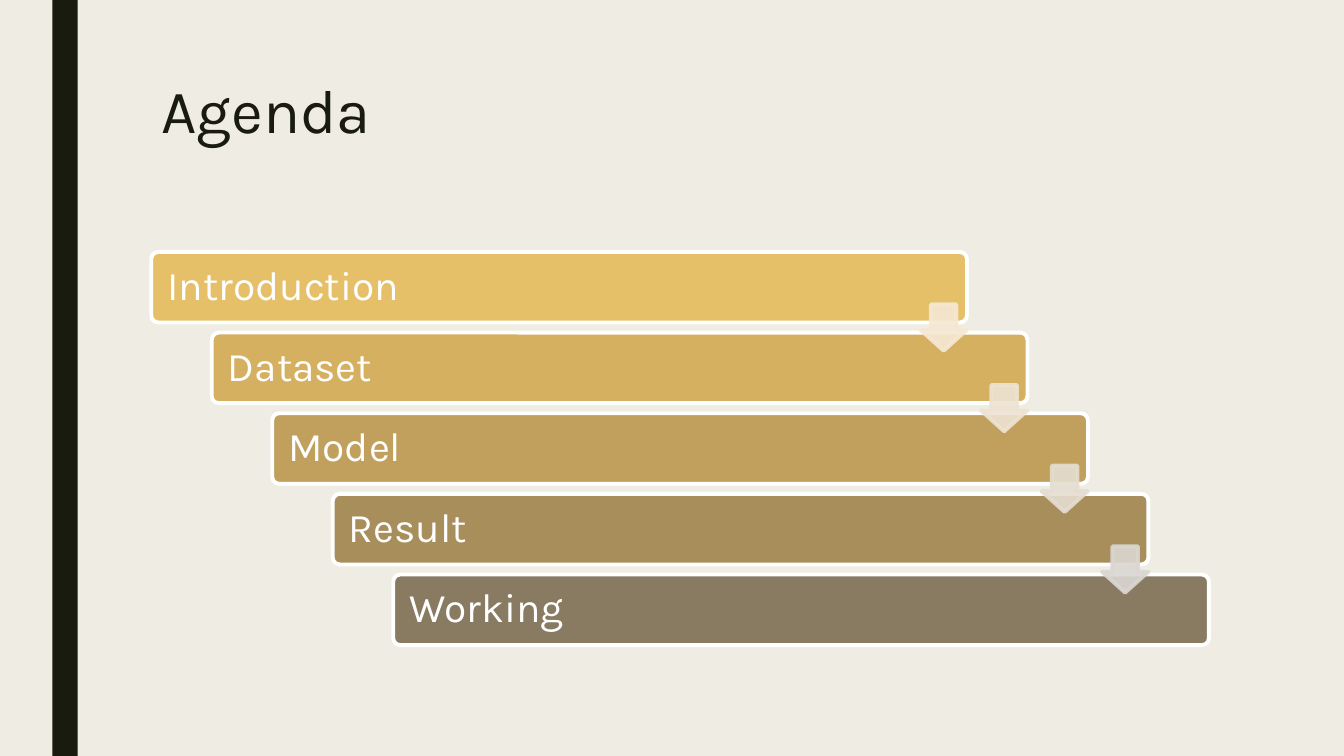
import pptx
import pptx.dml.color
import pptx.enum.shapes
import pptx.enum.text
import pptx.oxml.ns
import pptx.util
from lxml import etree

Inches = pptx.util.Inches
Pt = pptx.util.Pt
SHAPES = pptx.enum.shapes.MSO_SHAPE
ANCHOR = pptx.enum.text.MSO_ANCHOR

FONT = "Karla"
COLORS = {"background": "EFEDE3", "dark": "191B0E", "white": "FFFFFF"}
TOPICS = [
    ("Introduction", "E6C069"),
    ("Dataset", "D5B061"),
    ("Model", "C0A05C"),
    ("Result", "A88E5B"),
    ("Working", "897B61"),
]
ARROW_COLORS = ["F5E8D4", "EEE3D2", "E5DDD1", "DAD7D2"]
STEP_X, STEP_Y = 0.6, 0.8


def rgb(value):
    """Turn a hex string into a colour."""
    return pptx.dml.color.RGBColor.from_string(value)


def add_shape(s, kind, box, fill, line=None):
    """Add a preset shape with a plain fill and an optional outline."""
    sp = s.shapes.add_shape(kind, *[Inches(v) for v in box])
    sp.shadow.inherit = False
    sp.fill.solid()
    sp.fill.fore_color.rgb = rgb(fill)
    if line:
        sp.line.color.rgb = rgb(line)
        sp.line.width = Pt(2.75)
    else:
        sp.line.fill.background()
    return sp


def write_text(tf, text, size, color, spacing, anchor):
    """Write one left-aligned line into a text frame."""
    tf.word_wrap = True
    tf.auto_size = pptx.enum.text.MSO_AUTO_SIZE.NONE
    tf.vertical_anchor = anchor
    p = tf.paragraphs[0]
    p.alignment = pptx.enum.text.PP_ALIGN.LEFT
    p.line_spacing = spacing
    r = p.add_run()
    r.text = text
    r.font.name = FONT
    r.font.size = Pt(size)
    r.font.color.rgb = rgb(color)


def add_title(s, text):
    """Place and fill the title placeholder."""
    sp = s.shapes.title
    sp.left, sp.top = Inches(1.5), Inches(0.75)
    sp.width, sp.height = Inches(10.5), Inches(1.62)
    write_text(sp.text_frame, text, 44, COLORS["dark"], 0.89, ANCHOR.TOP)


def add_topic(s, index, text, fill):
    """Add one bar of the staircase."""
    box = (1.5 + index * STEP_X, 2.5 + index * STEP_Y, 8.09, 0.7)
    sp = add_shape(s, SHAPES.ROUNDED_RECTANGLE, box, fill, COLORS["white"])
    sp.adjustments[0] = 0.1
    tf = sp.text_frame
    tf.margin_left = tf.margin_right = Inches(0.14)
    tf.margin_top = tf.margin_bottom = Inches(0.12)
    write_text(tf, text, 29, COLORS["white"], 0.9, ANCHOR.MIDDLE)


def add_arrow(s, index, color):
    """Add a translucent arrow leading to the next bar."""
    box = (9.13 + index * STEP_X, 3.02 + index * STEP_Y, 0.46, 0.46)
    sp = add_shape(s, SHAPES.DOWN_ARROW, box, color, color)
    sp.adjustments[0] = 0.55
    sp.adjustments[1] = 0.45
    qn = pptx.oxml.ns.qn
    for clr in sp._element.spPr.iter(qn("a:srgbClr")):
        etree.SubElement(clr, qn("a:alpha"), val="90000")


def main():
    """Build the agenda slide."""
    prs = pptx.Presentation()
    prs.slide_width, prs.slide_height = Inches(13.33), Inches(7.5)
    s = prs.slides.add_slide(prs.slide_layouts[5])
    s.background.fill.solid()
    s.background.fill.fore_color.rgb = rgb(COLORS["background"])
    add_shape(s, SHAPES.RECTANGLE, (0.52, 0, 0.25, 7.5), COLORS["dark"])
    add_title(s, "Agenda")
    for i, (text, fill) in enumerate(TOPICS):
        add_topic(s, i, text, fill)
    for i, color in enumerate(ARROW_COLORS):
        add_arrow(s, i, color)
    prs.save("out.pptx")


if __name__ == "__main__":
    main()
